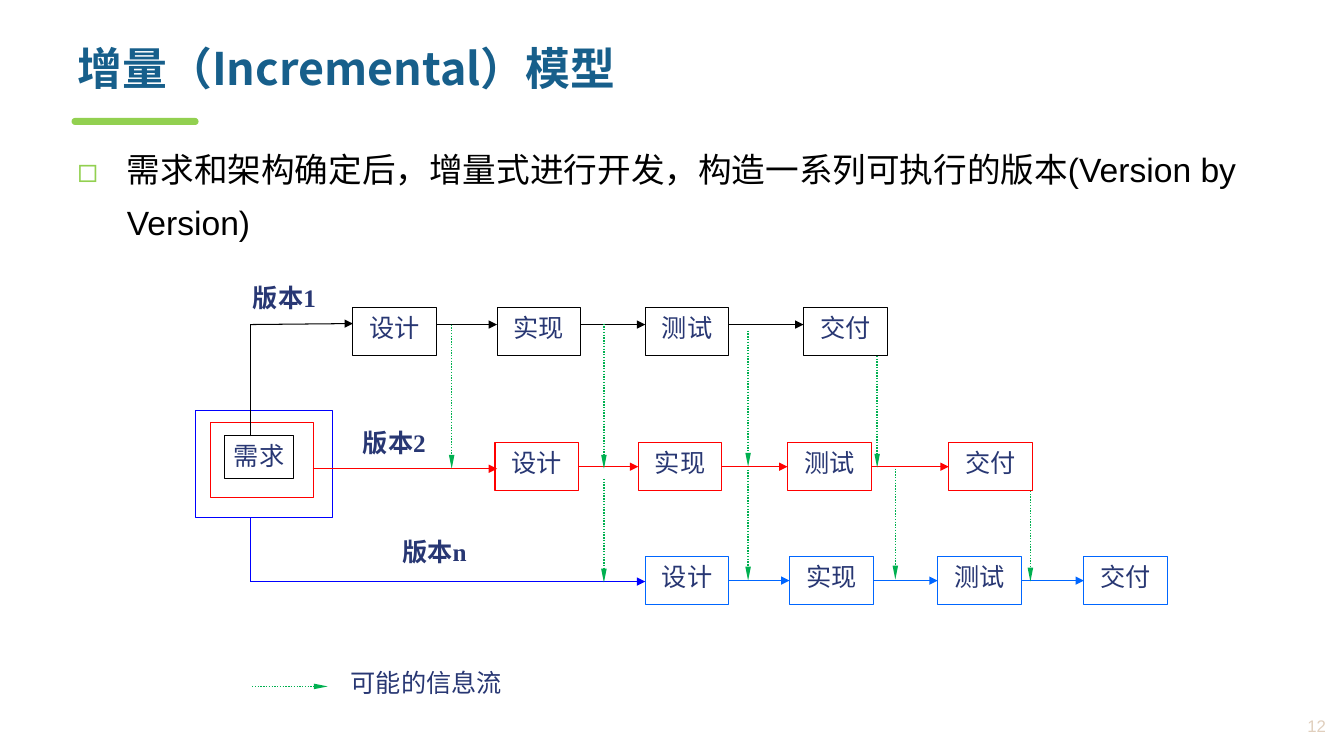
from pptx import Presentation
from pptx.dml.color import RGBColor
from pptx.enum.dml import MSO_LINE
from pptx.enum.shapes import MSO_CONNECTOR, MSO_SHAPE
from pptx.enum.text import MSO_ANCHOR, PP_ALIGN
from pptx.oxml.ns import qn
from pptx.util import Inches, Pt
from lxml import etree

STRAIGHT = MSO_CONNECTOR.STRAIGHT
RECTANGLE = MSO_SHAPE.RECTANGLE
ROUND_TOP = MSO_SHAPE.ROUND_2_SAME_RECTANGLE
DOTTED = MSO_LINE.ROUND_DOT
LEFT, CENTER, RIGHT, JUSTIFY = PP_ALIGN.LEFT, PP_ALIGN.CENTER, PP_ALIGN.RIGHT, PP_ALIGN.JUSTIFY
TOP, MIDDLE = MSO_ANCHOR.TOP, MSO_ANCHOR.MIDDLE

WHITE = RGBColor(0xFF, 0xFF, 0xFF)
BLACK = RGBColor(0x00, 0x00, 0x00)
RED = RGBColor(0xFF, 0x00, 0x00)
DEEP_BLUE = RGBColor(0x00, 0x00, 0xFF)
BLUE = RGBColor(0x00, 0x66, 0xFF)
GREEN = RGBColor(0x00, 0xB0, 0x50)
LIME = RGBColor(0x92, 0xD0, 0x50)
NAVY = RGBColor(0x28, 0x37, 0x73)
TITLE_BLUE = RGBColor(0x17, 0x5F, 0x8B)
BEIGE = RGBColor(0xE0, 0xCF, 0xBD)

CJK_FONT = "Noto Sans CJK SC"
SANS = "Arial"
SERIF = "Times New Roman"

STEP_WIDTH, STEP_HEIGHT = 0.83, 0.48
STEPS = ("设计", "实现", "测试", "交付")
# colour, box top, arrow height, left edge of each step
LANES = (
    (BLACK, 3.05, 3.22, (3.5, 4.93, 6.4, 7.97)),
    (RED, 4.39, 4.63, (4.91, 6.33, 7.81, 9.41)),
    (BLUE, 5.52, 5.76, (6.4, 7.83, 9.3, 10.75)),
)
VERSION_LABELS = (
    ("版本1", 2.41, 2.89, 1.02),
    ("版本2", 3.5, 4.32, 1.22),
    ("版本n", 3.89, 5.41, 1.22),
)
REQUIREMENT_FRAMES = (
    (DEEP_BLUE, 1.94, 4.07, 1.36, 1.06, ""),
    (RED, 2.09, 4.19, 1.02, 0.75, ""),
    (BLACK, 2.23, 4.32, 0.68, 0.43, "需求"),
)
# colour, start, end, has arrowhead
REQUIREMENT_LINES = (
    (BLACK, (2.48, 4.33), (2.48, 3.22), False),
    (BLACK, (2.48, 3.22), (3.5, 3.21), True),
    (RED, (3.1, 4.65), (4.93, 4.65), True),
    (DEEP_BLUE, (2.48, 5.13), (2.48, 5.77), False),
    (DEEP_BLUE, (2.48, 5.77), (6.4, 5.77), True),
)
# x, top, bottom of each flow between versions
INFORMATION_FLOWS = (
    (4.48, 3.22, 4.65), (5.99, 3.21, 4.65), (7.42, 3.28, 4.63), (8.7, 3.53, 4.64),
    (5.99, 4.75, 5.78), (7.42, 4.66, 5.76), (8.88, 4.65, 5.75), (10.22, 4.87, 5.77),
)


class SlideBuilder:
    def __init__(self, slide):
        self.shapes = slide.shapes

    def set_text(self, shape, text, size, color, font=SERIF, bold=False,
                 align=LEFT, anchor=TOP, line_spacing=None):
        frame = shape.text_frame
        frame.word_wrap = True
        frame.vertical_anchor = anchor
        frame.text = text
        paragraph = frame.paragraphs[0]
        paragraph.alignment = align
        paragraph.line_spacing = line_spacing
        run = paragraph.runs[0]
        run.font.name = font
        run.font.size = Pt(size)
        run.font.bold = bold
        run.font.color.rgb = color
        east_asian = etree.Element(qn("a:ea"), typeface=CJK_FONT)
        run._r.get_or_add_rPr().find(qn("a:latin")).addnext(east_asian)
        return paragraph

    def text(self, left, top, width, height, text, size, color, **style):
        box = self.shapes.add_textbox(Inches(left), Inches(top), Inches(width), Inches(height))
        return self.set_text(box, text, size, color, **style)

    def label(self, left, top, width, height, text, bold=False):
        self.text(left, top, width, height, text, 18, NAVY, bold=bold,
                  align=JUSTIFY, line_spacing=Pt(12))

    def bullet(self, paragraph, character, color, indent):
        """Hang the paragraph behind a coloured bullet."""
        properties = paragraph._p.get_or_add_pPr()
        properties.set("marL", str(Inches(indent)))
        properties.set("indent", str(-Inches(indent)))
        bullet_color = etree.SubElement(properties, qn("a:buClr"))
        etree.SubElement(bullet_color, qn("a:srgbClr"), val=str(color))
        etree.SubElement(properties, qn("a:buFont"), typeface=CJK_FONT)
        etree.SubElement(properties, qn("a:buChar"), char=character)

    def bar(self, left, top, width, height, color):
        shape = self.shapes.add_shape(
            ROUND_TOP, Inches(left), Inches(top), Inches(width), Inches(height))
        shape.shadow.inherit = False
        shape.adjustments[0] = shape.adjustments[1] = 0.5
        shape.fill.solid()
        shape.fill.fore_color.rgb = color
        shape.line.fill.background()

    def box(self, left, top, width, height, color, text=""):
        shape = self.shapes.add_shape(
            RECTANGLE, Inches(left), Inches(top), Inches(width), Inches(height))
        shape.shadow.inherit = False
        shape.fill.solid()
        shape.fill.fore_color.rgb = WHITE
        shape.line.color.rgb = color
        shape.line.width = Pt(0.75)
        if text:
            frame = shape.text_frame
            frame.margin_left = frame.margin_right = Inches(0.02)
            frame.margin_top = frame.margin_bottom = Inches(0.05)
            self.set_text(shape, text, 18, NAVY, align=CENTER)

    def line(self, start, end, color, arrow=True, dotted=False):
        connector = self.shapes.add_connector(STRAIGHT, *map(Inches, start + end))
        connector.line.color.rgb = color
        connector.line.width = Pt(1 if dotted else 0.75)
        if dotted:
            connector.line.dash_style = DOTTED
        properties = connector._element.spPr
        if arrow:
            width, length = ("sm", "lg") if dotted else ("med", "med")
            etree.SubElement(properties.find(qn("a:ln")), qn("a:tailEnd"),
                             type="triangle", w=width, len=length)
        etree.SubElement(properties, qn("a:effectLst"))

    def flow(self, start, end):
        self.line(start, end, GREEN, dotted=True)

    def lane(self, color, top, arrow_y, lefts):
        """Draw the four steps of one version and the arrows between them."""
        for left, step in zip(lefts, STEPS):
            self.box(left, top, STEP_WIDTH, STEP_HEIGHT, color, step)
        for left, next_left in zip(lefts, lefts[1:]):
            self.line((left + STEP_WIDTH, arrow_y), (next_left, arrow_y), color)


def main():
    presentation = Presentation()
    presentation.slide_width = Inches(13.33)
    presentation.slide_height = Inches(7.5)
    builder = SlideBuilder(presentation.slides.add_slide(presentation.slide_layouts[6]))

    builder.bar(0.71, 1.17, 1.26, 0.07, LIME)
    builder.text(0.67, 0.41, 12.19, 0.75, "增量（Incremental）模型", 32, TITLE_BLUE,
                 font=CJK_FONT, bold=True, line_spacing=0.9)
    summary = builder.text(
        0.67, 1.31, 12.2, 1.3,
        "需求和架构确定后，增量式进行开发，构造一系列可执行的版本(Version by Version)",
        24, BLACK, font=SANS, line_spacing=1.3)
    summary.space_after = Pt(3)
    builder.bullet(summary, "◻", LIME, 0.49)
    builder.text(12.12, 7.01, 1.13, 0.38, "12", 12, BEIGE, font=SANS,
                 align=RIGHT, anchor=MIDDLE)

    for text, left, top, width in VERSION_LABELS:
        builder.label(left, top, width, 0.64, text, bold=True)
    for color, left, top, width, height, text in REQUIREMENT_FRAMES:
        builder.box(left, top, width, height, color, text)
    for lane in LANES:
        builder.lane(*lane)
    for color, start, end, arrow in REQUIREMENT_LINES:
        builder.line(start, end, color, arrow)
    for x, top, bottom in INFORMATION_FLOWS:
        builder.flow((x, top), (x, bottom))

    builder.flow((2.5, 6.81), (3.25, 6.81))
    builder.label(3.38, 6.7, 2.7, 0.26, "可能的信息流")

    presentation.save("out.pptx")


if __name__ == "__main__":
    main()
